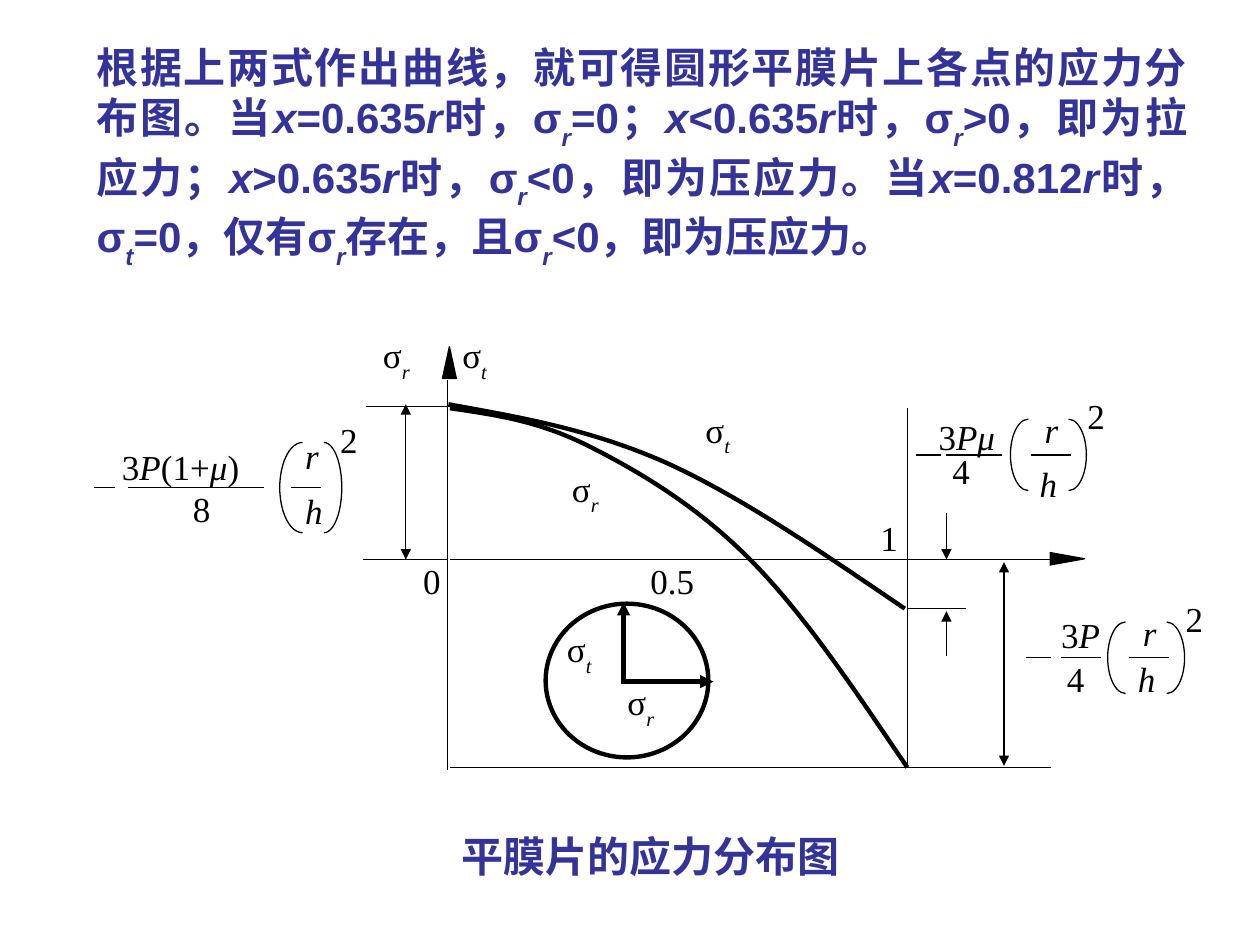
from lxml import etree
from pptx import Presentation
from pptx.dml.color import RGBColor
from pptx.enum.shapes import MSO_CONNECTOR, MSO_SHAPE
from pptx.enum.text import MSO_AUTO_SIZE, PP_ALIGN
from pptx.oxml.ns import qn
from pptx.util import Cm, Pt

STRAIGHT = MSO_CONNECTOR.STRAIGHT
ELLIPSE = MSO_SHAPE.OVAL
TRIANGLE = MSO_SHAPE.ISOSCELES_TRIANGLE
BRACKET = MSO_SHAPE.LEFT_BRACKET
JUSTIFY = PP_ALIGN.JUSTIFY
GROW = MSO_AUTO_SIZE.SHAPE_TO_FIT_TEXT

COLORS = {"ink": "000000", "heading": "333399", "paper": "FFFFFF"}
THIN, THICK = 0.75, 2.5
SERIF, SANS = "Times New Roman", "Arial"

EXPLANATION = (
    "根据上两式作出曲线，就可得圆形平膜片上各点的应力分布图。当|x|=0.635|r|时，σ|_r|=0；"
    "|x|<0.635|r|时，σ|_r|>0，即为拉应力；|x|>0.635|r|时，σ|_r|<0，即为压应力。当"
    "|x|=0.812|r|时，σ|_t|=0，仅有σ|_r|存在，且σ|_r|<0，即为压应力。"
)


class StressSlide:
    def __init__(self, slide):
        self.slide = slide
        self.shapes = slide.shapes

    def color(self, name):
        return RGBColor.from_string(COLORS[name])

    def outline(self, line, width):
        line.color.rgb = self.color("ink")
        line.width = Pt(width)

    def text(self, box, marked_text, size=20, font=SERIF, color="ink", bold=False, inset=0):
        """Odd pieces between bars are italic; a leading underscore makes a subscript."""
        shape = self.shapes.add_textbox(*map(Cm, box))
        frame = shape.text_frame
        frame.word_wrap = True
        frame.margin_left = frame.margin_right = Cm(2 * inset)
        frame.margin_top = frame.margin_bottom = Cm(inset)
        paragraph = frame.paragraphs[0]
        paragraph.alignment = JUSTIFY
        for index, piece in enumerate(marked_text.split("|")):
            if not piece:
                continue
            run = paragraph.add_run()
            run.text = piece.lstrip("_")
            run.font.size = Pt(size)
            run.font.name = font
            run.font.bold = bold
            run.font.italic = index % 2 == 1
            run.font.color.rgb = self.color(color)
            if piece.startswith("_"):
                run.font._element.set("baseline", "-30000")
        return frame

    def shape(self, kind, box, fill=None, width=THIN, rotation=0):
        shape = self.shapes.add_shape(kind, *map(Cm, box))
        shape.shadow.inherit = False
        shape.rotation = rotation
        if fill:
            shape.fill.solid()
            shape.fill.fore_color.rgb = self.color(fill)
        else:
            shape.fill.background()
        self.outline(shape.line, width)
        return shape

    def line(self, x1, y1, x2, y2, width=THIN, arrows=()):
        connector = self.shapes.add_connector(STRAIGHT, *map(Cm, (x1, y1, x2, y2)))
        self.outline(connector.line, width)
        properties = connector._element.spPr
        for end in arrows:
            etree.SubElement(properties.find(qn("a:ln")), qn(f"a:{end}"), type="triangle")
        etree.SubElement(properties, qn("a:effectLst"))

    def curve(self, points):
        points = [(Cm(x), Cm(y)) for x, y in points]
        builder = self.shapes.build_freeform(*points[0])
        builder.add_line_segments(points[1:], close=False)
        shape = builder.convert_to_shape()
        segments = list(shape._element.iter(qn("a:lnTo")))
        for start in range(0, len(segments), 3):
            first, *others = segments[start:start + 3]
            bezier = etree.Element(qn("a:cubicBezTo"))
            first.addprevious(bezier)
            for segment in (first, *others):
                bezier.append(segment[0])
                segment.getparent().remove(segment)
        shape.shadow.inherit = False
        shape.fill.background()
        self.outline(shape.line, THICK)

    def parenthesis(self, left, middle, width, half_height, rotation=0):
        box = (left, middle - half_height, width, 2 * half_height)
        self.shape(BRACKET, box, rotation=rotation).adjustments[0] = 3

    def formula(self, middle, bars, texts, left, right, half_height):
        for start, end in bars:
            self.line(start, middle, end, middle)
        for box, marked_text in texts:
            self.text(box, marked_text)
        self.parenthesis(*left[:1], middle, left[1], half_height)
        self.parenthesis(*right[:1], middle, right[1], half_height, rotation=180)


def main():
    presentation = Presentation()
    presentation.slide_width, presentation.slide_height = Cm(25.4), Cm(19.05)
    page = StressSlide(presentation.slides.add_slide(presentation.slide_layouts[6]))

    heading = {"size": 24, "color": "heading", "bold": True}
    page.text((9.3, 16.74, 8.71, 1.32), "平膜片的应力分布图", **heading)
    frame = page.text((1.7, 0.71, 22.48, 4.32), EXPLANATION, font=SANS, inset=0.127, **heading)
    frame.auto_size = GROW

    axis_x, axis_y, edge_x, bottom_y = 9.02, 11.28, 18.29, 15.47
    page.curve([(9.07, 8.23), (9.96, 8.36), (10.85, 8.48), (11.86, 8.99),
                (12.88, 9.5), (14.07, 10.21), (15.14, 11.3),
                (16.23, 12.4), (17.25, 13.94), (edge_x, bottom_y)])
    page.curve([(9.04, 8.15), (10.46, 8.41), (11.86, 8.64), (13.41, 9.32),
                (14.94, 10.01), (16.59, 11.15), (18.24, 12.27)])
    page.shape(ELLIPSE, (11, 12.17, 3.28, 3.1), "paper", THICK)

    for ends in (
        (axis_x, 15.52, axis_x, 7.67),
        (9.07, axis_y, 21.18, axis_y),
        (7.32, axis_y, axis_x, axis_y),
        (edge_x, 8.23, edge_x, bottom_y),
        (9.07, bottom_y, 21.18, bottom_y),
        (edge_x, 12.27, 19.48, 12.27),
        (9.4, 8.2, 7.37, 8.2),
    ):
        page.line(*ends)
    page.shape(TRIANGLE, (21.39, 10.92, 0.25, 0.69), "ink", rotation=90)
    page.shape(TRIANGLE, (8.92, 6.99, 0.28, 0.64), "ink")

    page.line(12.57, 13.79, 12.57, 12.14, THICK, ["tailEnd"])
    page.line(12.57, 13.74, 14.38, 13.74, THICK, ["tailEnd"])
    page.line(8.18, 8.15, 8.18, axis_y, arrows=["headEnd", "tailEnd"])
    page.line(20.24, 11.33, 20.24, 15.44, arrows=["headEnd", "tailEnd"])
    page.line(19.08, 13.23, 19.08, 12.32, arrows=["tailEnd"])
    page.line(19.08, 10.34, 19.08, axis_y, arrows=["tailEnd"])

    for left, top in ((11.43, 12.65), (9.32, 6.73), (14.22, 8.23)):
        page.text((left, top, 0.97, 1.19), "σ|_t")
    for left, top in ((12.65, 13.72), (7.72, 6.73), (11.53, 9.42)):
        page.text((left, top, 1.6, 1.37), "σ|_r")
    for left, top, width, value in (
        (8.53, axis_y, 0.61, "0"), (13.11, axis_y, 1.02, "0.5"), (17.75, 10.41, 0.61, "1"),
    ):
        page.text((left, top, width, 0.99), value)

    page.formula(
        9.83, [(1.9, 2.31), (2.59, 5.33), (5.87, 6.48)],
        [((2.46, 8.99, 3.33, 0.91), "3|P|(1+|μ|)"), ((3.89, 9.83, 1.47, 0.91), "8"),
         ((6.15, 8.76, 0.74, 1.12), "|r"), ((6.15, 9.86, 0.74, 1.12), "|h"),
         ((6.86, 8.43, 0.74, 1.12), "2")],
        (5.64, 0.46), (6.53, 0.36), 0.91)
    page.formula(
        9.17, [(18.47, 18.97), (19.08, 20.19), (20.78, 21.59)],
        [((18.92, 8.38, 2.16, 0.79), "3|Pμ"), ((19.2, 9.07, 0.79, 0.74), "4"),
         ((21.06, 8.23, 0.41, 0.89), "|r"), ((20.96, 9.32, 0.41, 0.89), "|h"),
         ((21.92, 7.95, 0.41, 0.89), "2")],
        (20.37, 0.36), (21.54, 0.36), 0.72)
    page.formula(
        13.26, [(20.68, 21.18), (21.39, 22.2), (22.76, 23.57)],
        [((21.39, 12.37, 1.45, 0.74), "3|P"), ((21.51, 13.26, 0.79, 0.74), "4"),
         ((23.04, 12.32, 0.41, 0.89), "|r"), ((22.94, 13.26, 0.41, 0.89), "|h"),
         ((23.9, 12.04, 0.41, 0.89), "2")],
        (22.33, 0.36), (23.52, 0.36), 0.72)

    presentation.save("out.pptx")


if __name__ == "__main__":
    main()
